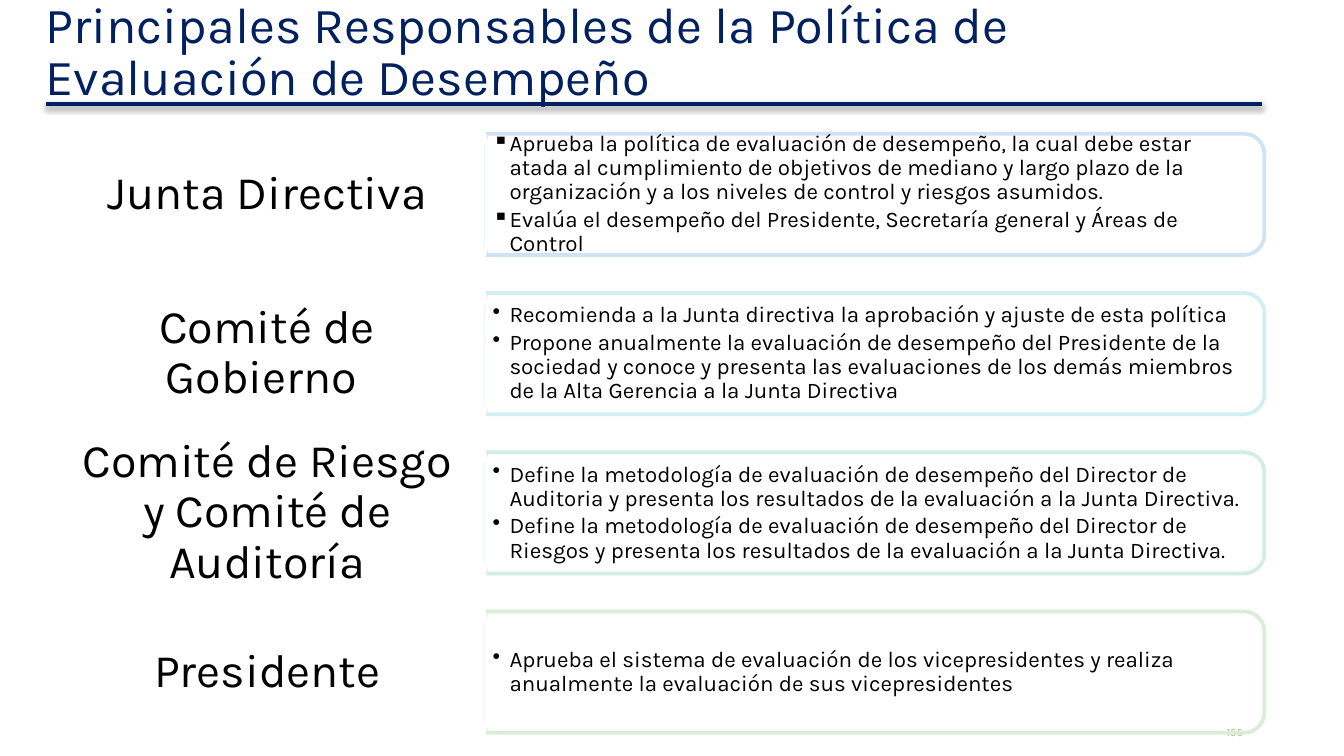
from dataclasses import dataclass

from lxml.etree import SubElement
from pptx import Presentation
from pptx.dml.color import RGBColor
from pptx.enum.shapes import MSO_CONNECTOR, MSO_SHAPE
from pptx.enum.text import MSO_ANCHOR, PP_ALIGN
from pptx.oxml.ns import qn
from pptx.util import Cm, Pt


@dataclass(frozen=True)
class Theme:
    face: str = "Karla"
    navy: str = "002060"
    black: str = "000000"
    white: str = "FFFFFF"
    sand: str = "BCB296"
    title: float = 27
    role: float = 25
    duty: float = 12
    page: float = 6
    edge: float = 2


THEME = Theme()
TOP, STEP = 2.24, 3.01
HIGH = 2.87

ROLES = [
    ("Junta Directiva", "CCDFF1", "▪", [
        "Aprueba la política de evaluación de desempeño, la cual debe estar atada al cumplimiento "
        "de objetivos de mediano y largo plazo de la organización y a los niveles de control y "
        "riesgos asumidos.",
        "Evalúa el desempeño del Presidente, Secretaría general y Áreas de Control",
    ]),
    ("Comité de Gobierno ", "CCEEF1", "•", [
        "Recomienda a la Junta directiva la aprobación y ajuste de esta política",
        "Propone anualmente la evaluación de desempeño del Presidente de la sociedad y conoce y "
        "presenta las evaluaciones de los demás miembros de la Alta Gerencia a la Junta Directiva",
    ]),
    ("Comité de Riesgo y Comité de Auditoría", "CCEDDE", "•", [
        "Define la metodología de evaluación de desempeño del Director de Auditoria y presenta "
        "los resultados de la evaluación a la Junta Directiva.",
        "Define la metodología de evaluación de desempeño del Director de Riesgos y presenta "
        "los resultados de la evaluación a la Junta Directiva.",
    ]),
    ("Presidente", "D7ECD3", "•", [
        "Aprueba el sistema de evaluación de los vicepresidentes y realiza anualmente la "
        "evaluación de sus vicepresidentes",
    ]),
]


def set_frame(frame, side=0, edge=0, anchor=MSO_ANCHOR.MIDDLE):
    frame.word_wrap = True
    frame.vertical_anchor = anchor
    frame.margin_left = frame.margin_right = Cm(side)
    frame.margin_top = frame.margin_bottom = Cm(edge)
    return frame


def style(para, text, size, color, align=PP_ALIGN.LEFT, space=None):
    para.text = text
    para.alignment = align
    para.line_spacing = space
    para.font.name = THEME.face
    para.font.size = Pt(size)
    para.font.color.rgb = RGBColor.from_string(color)


def add_box(slide, left, top, width, height):
    return slide.shapes.add_textbox(Cm(left), Cm(top), Cm(width), Cm(height)).text_frame


def add_frame(slide, kind, left, top, width, height, color):
    shape = slide.shapes.add_shape(kind, Cm(left), Cm(top), Cm(width), Cm(height))
    shape.shadow.inherit = False
    shape.fill.background()
    shape.line.color.rgb = RGBColor.from_string(color)
    shape.line.width = Pt(THEME.edge)
    return shape


def add_rule(slide):
    rule = slide.shapes.add_connector(
        MSO_CONNECTOR.STRAIGHT, Cm(0.86), Cm(1.96), Cm(23.85), Cm(1.96))
    rule.line.color.rgb = RGBColor.from_string(THEME.navy)
    rule.line.width = Pt(THEME.edge)
    effects = SubElement(rule._element.spPr, qn("a:effectLst"))
    shade = SubElement(effects, qn("a:outerShdw"), blurRad=str(Pt(3.1)),
                       dist=str(Pt(1.6)), dir="5400000", rotWithShape="0")
    tint = SubElement(shade, qn("a:srgbClr"), val=THEME.black)
    SubElement(tint, qn("a:alpha"), val="38000")


def add_panel(slide, mid, color):
    width, height = 2.29, 14.71
    panel = add_frame(slide, MSO_SHAPE.ROUND_2_SAME_RECTANGLE, 16.54 - width / 2,
                      mid - height / 2, width, height, color)
    panel.rotation = 90
    tint = panel.line._ln.find(".//" + qn("a:srgbClr"))
    SubElement(tint, qn("a:alpha"), val="90000")


def add_duties(slide, mid, mark, duties):
    height = 2.06
    frame = set_frame(add_box(slide, 9.19, mid - height / 2, 14.58, height), 0.12, 0.08)
    for i, duty in enumerate(duties):
        para = frame.paragraphs[0] if i == 0 else frame.add_paragraph()
        props = para._p.get_or_add_pPr()
        props.set("marL", str(Cm(0.32)))
        props.set("indent", str(Cm(-0.32)))
        SubElement(props, qn("a:buChar"), char=mark)
        style(para, duty, THEME.duty, THEME.black, space=0.9)
        para.space_after = Pt(1.8)


def add_role(slide, top, name):
    shape = add_frame(slide, MSO_SHAPE.ROUNDED_RECTANGLE, 0.91, top, 8.28, HIGH, THEME.white)
    frame = set_frame(shape.text_frame, 0.25, 0.13)
    style(frame.paragraphs[0], name, THEME.role, THEME.black, PP_ALIGN.CENTER, 0.9)


def main():
    deck = Presentation()
    deck.slide_width, deck.slide_height = Cm(25.4), Cm(14.29)
    slide = deck.slides.add_slide(deck.slide_layouts[6])

    page = set_frame(add_box(slide, 22.68, 13.72, 0.81, 0.25), anchor=MSO_ANCHOR.BOTTOM)
    style(page.paragraphs[0], "155", THEME.page, THEME.sand, PP_ALIGN.RIGHT)
    title = set_frame(add_box(slide, 0.86, 0.15, 18.9, 1.75))
    style(title.paragraphs[0], "Principales Responsables de la Política de Evaluación de Desempeño",
          THEME.title, THEME.navy, space=0.85)
    add_rule(slide)

    for i, (name, color, mark, duties) in enumerate(ROLES):
        top = TOP + i * STEP
        mid = top + HIGH / 2
        add_panel(slide, mid, color)
        add_duties(slide, mid, mark, duties)
        add_role(slide, top, name)

    deck.save("out.pptx")


if __name__ == "__main__":
    main()
